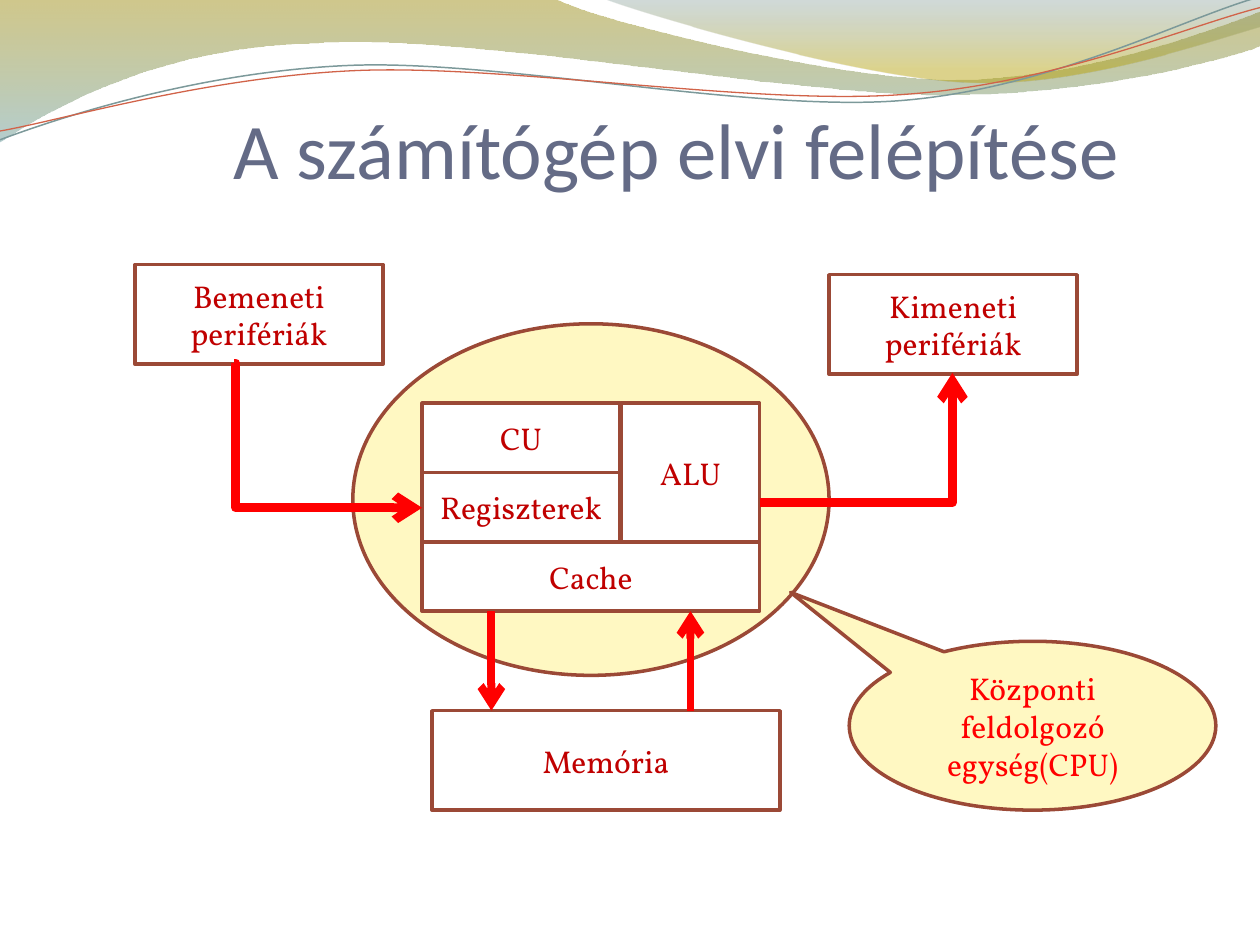
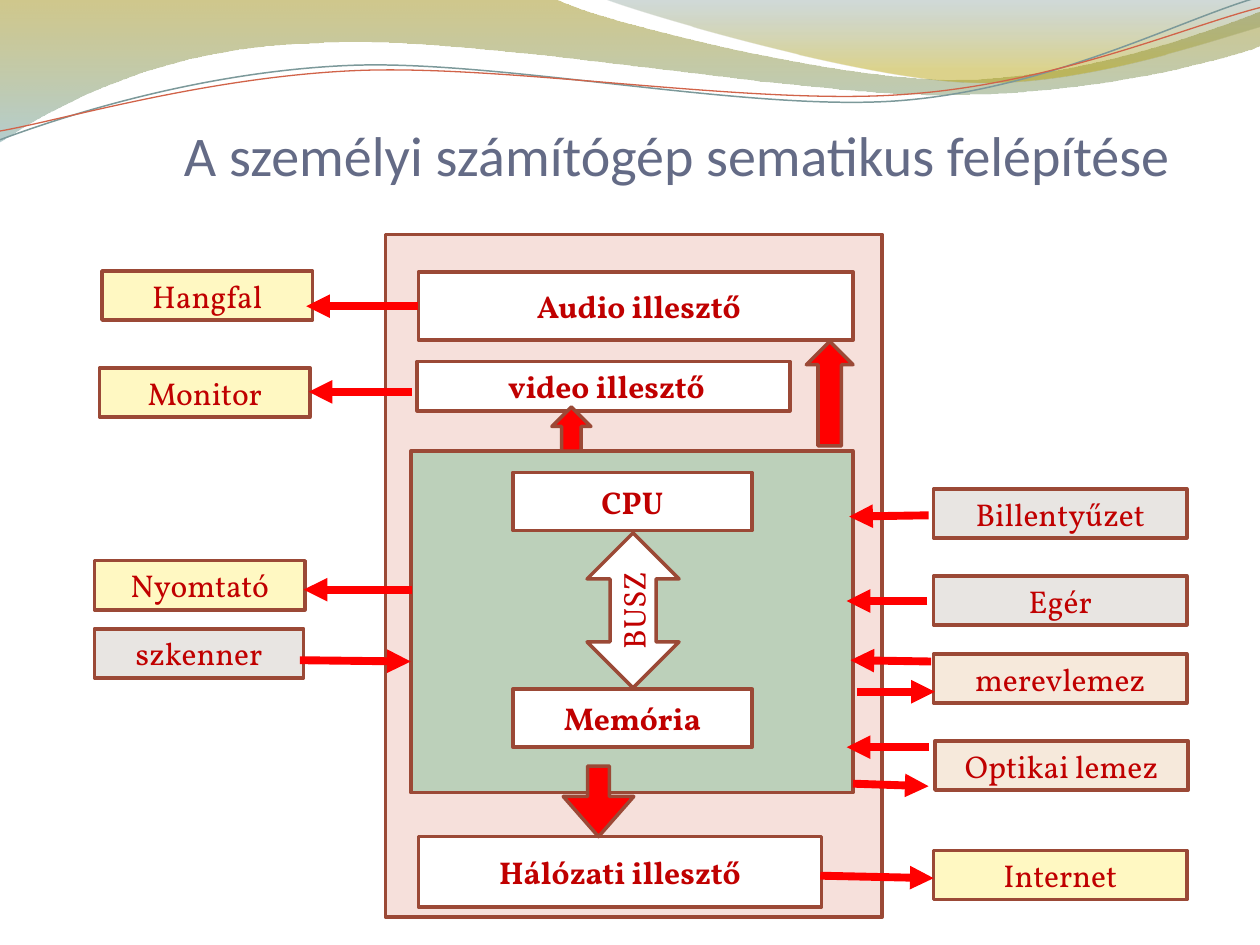
from math import cos, radians, sin

from lxml import etree
from pptx import Presentation
from pptx.dml.color import RGBColor
from pptx.enum.shapes import MSO_CONNECTOR as CONN, MSO_SHAPE as SHAPE
from pptx.enum.text import MSO_ANCHOR, MSO_AUTO_SIZE, PP_ALIGN
from pptx.oxml.ns import qn
from pptx.util import Inches, Pt

SLATE = RGBColor(0x64, 0x6B, 0x86)
BROWN = RGBColor(0x9B, 0x49, 0x36)
DARK_RED = RGBColor(0xC0, 0x00, 0x00)
RED = RGBColor(0xFF, 0x00, 0x00)
WHITE = RGBColor(0xFF, 0xFF, 0xFF)
CREAM = RGBColor(0xFF, 0xF8, 0xC2)
PINK = RGBColor(0xF6, 0xE0, 0xDB)
GREEN = RGBColor(0xBC, 0xD0, 0xBA)
GREY = RGBColor(0xE8, 0xE5, 0xE2)
PEACH = RGBColor(0xF6, 0xE9, 0xDB)
OLIVE = RGBColor(0x97, 0x85, 0x00)
TEAL = RGBColor(0x77, 0xA5, 0xA6)
DEEP_TEAL = RGBColor(0x64, 0x84, 0x84)
GOLD = RGBColor(0xB4, 0x9F, 0x00)
LINE_TEAL = RGBColor(0x7C, 0x99, 0x9A)
LINE_RED = RGBColor(0xD1, 0x63, 0x49)


def add_box(s, kind, x, y, w, h, fill, text="", bold=False, color=DARK_RED):
    sp = s.shapes.add_shape(kind, Inches(x), Inches(y), Inches(w), Inches(h))
    sp.shadow.inherit = False
    sp.fill.solid()
    sp.fill.fore_color.rgb = fill
    sp.line.color.rgb = BROWN
    sp.line.width = Pt(2)
    if text:
        p = sp.text_frame.paragraphs[0]
        p.text = text
        p.alignment = PP_ALIGN.CENTER
        p.font.name, p.font.size, p.font.bold = "Vollkorn", Pt(18), bold
        p.font.color.rgb = color
    return sp


def add_arrow(s, x1, y1, x2, y2, head, width=4.5, kind=CONN.STRAIGHT):
    cx = s.shapes.add_connector(kind, Inches(x1), Inches(y1), Inches(x2), Inches(y2))
    cx.line.color.rgb = RED
    cx.line.width = Pt(width)
    etree.SubElement(cx.line._get_or_add_ln(), qn("a:tailEnd"), type=head)
    etree.SubElement(cx._element.spPr, qn("a:effectLst"))
    return cx


prs = Presentation()
prs.slide_width, prs.slide_height = Inches(10), Inches(7.5)

# Slides and titles
TITLES = [
    ("A számítógép elvi felépítése", 45, (1.54, 0.76, 7.65, 0.79)),
    ("A személyi számítógép sematikus felépítése", 32, (0.66, 0.74, 9.43, 0.75)),
]
for text, size, place in TITLES:
    s = prs.slides.add_slide(prs.slide_layouts[5])
    title = s.shapes.title
    title.left, title.top, title.width, title.height = map(Inches, place)
    tf = title.text_frame
    tf.auto_size = MSO_AUTO_SIZE.NONE
    tf.vertical_anchor = MSO_ANCHOR.BOTTOM
    tf.margin_left = tf.margin_right = tf.margin_bottom = 0
    tf.margin_top = Inches(0.05)
    p = tf.paragraphs[0]
    p.text = text
    p.alignment = PP_ALIGN.CENTER
    p.font.name, p.font.size = "Calibri", Pt(size)
    p.font.color.rgb = SLATE
principle, schematic = prs.slides

# Waves shared through the master: frame, rotation, start, segments, gradient, line
# Two numbers make a line, six a Bezier curve; stops hold position, colour, opacity
WAVES = [
    ((-0.01, -0.01, 10.02, 1.14), 0, (0, 0),
     [(4.4, -0.01), (4.76, 0.17, 6.64, 0.63, 7.58, 0.63),
      (8.53, 0.63, 9.58, 0.26, 10, 0.09), (10.01, 0.36),
      (9.83, 0.44, 8.7, 0.76, 7.46, 0.75), (6.22, 0.75, 3.82, 0.28, 2.57, 0.34),
      (1.29, 0.36, 0.46, 0.83, -0.01, 1.13), (0, 0)],
     [(0, OLIVE, 45), (1, TEAL, 55)], None),
    ((4.79, -0.01, 5.21, 0.7), 0, (4.79, -0.01),
     [(5.09, 0.11, 6.82, 0.62, 7.69, 0.65), (8.56, 0.69, 9.61, 0.32, 10, 0.21),
      (10, 0), (4.79, -0.01)],
     [(0, DEEP_TEAL, 30), (0.8, GOLD, 45)], None),
    ((-0.02, 0.22, 10.02, 0.71), -2.7, (0, 1.11),
     [(0.48, 0.93, 1.58, 0.57, 2.77, 0.52), (3.95, 0.47, 5.93, 0.89, 7.13, 0.8),
      (8.33, 0.71, 9.38, 0.15, 9.98, -0.02)],
     None, (LINE_TEAL, 0.85)),
    ((-0.02, 0.3, 10.03, 0.58), -2.7, (0, 1.04),
     [(0.47, 0.96, 1.64, 0.61, 2.83, 0.56), (4.03, 0.51, 5.97, 0.84, 7.17, 0.75),
      (8.36, 0.67, 9.41, 0.21, 10, 0.06)],
     None, (LINE_RED, 0.75)),
]
for depth, (frame, rotation, start, segments, stops, line) in enumerate(WAVES):
    builder = principle.shapes.build_freeform(*map(Inches, start))
    builder.add_line_segments([tuple(map(Inches, seg[-2:])) for seg in segments],
                              close=stops is not None)
    wave = builder.convert_to_shape()
    wave.left, wave.top, wave.width, wave.height = map(Inches, frame)
    wave.rotation = rotation
    wave.shadow.inherit = False

    # Outline in frame coordinates, with the rotation taken back out
    left, top, w, h = frame
    angle = radians(-rotation)
    outline = next(wave._element.spPr.iter(qn("a:path")))
    outline.set("w", str(Inches(w)))
    outline.set("h", str(Inches(h)))
    moves = [m for m in outline if m.tag != qn("a:close")]
    for move, seg in zip(moves, [start] + segments):
        if len(seg) == 6:
            move.tag = qn("a:cubicBezTo")
        for pt in list(move):
            move.remove(pt)
        for x, y in zip(seg[::2], seg[1::2]):
            dx, dy = x - left - w / 2, y - top - h / 2
            local_x = dx * cos(angle) - dy * sin(angle) + w / 2
            local_y = dx * sin(angle) + dy * cos(angle) + h / 2
            etree.SubElement(move, qn("a:pt"), x=str(Inches(local_x)), y=str(Inches(local_y)))

    if stops:
        wave.line.fill.background()
        wave.fill.gradient()
        wave.fill.gradient_angle = 270
        for stop, (position, color, _) in zip(wave.fill.gradient_stops, stops):
            stop.position, stop.color.rgb = position, color
        for clr, (_, _, opacity) in zip(wave._element.spPr.iter(qn("a:srgbClr")), stops):
            etree.SubElement(clr, qn("a:alpha"), val=str(opacity * 1000))
    else:
        wave.fill.background()
        wave.line.color.rgb, wave.line.width = line[0], Pt(line[1])
    prs.slide_master.shapes._spTree.insert(2 + depth, wave._element)

# Slide 1: processor, peripherals and memory
s = principle
add_box(s, SHAPE.OVAL, 2.8, 2.57, 3.78, 2.79, CREAM)
for text, x, y, w, h in [
    ("ALU", 4.93, 3.2, 1.1, 1.1),
    ("CU", 3.35, 3.2, 1.57, 0.55),
    ("Regiszterek", 3.35, 3.75, 1.57, 0.55),
    ("Cache", 3.35, 4.3, 2.68, 0.55),
    ("Bemeneti perifériák", 1.07, 2.1, 1.97, 0.79),
    ("Kimeneti perifériák", 6.58, 2.18, 1.97, 0.79),
    ("Memória", 3.43, 5.64, 2.76, 0.79),
]:
    add_box(s, SHAPE.RECTANGLE, x, y, w, h, WHITE, text)

input_arrow = add_arrow(s, 1.86, 2.88, 3.35, 4.03, "arrow", 5, CONN.ELBOW)
guides = input_arrow._element.spPr.prstGeom.get_or_add_avLst()
etree.SubElement(guides, qn("a:gd"), name="adj1", fmla="val 700")
add_arrow(s, 3.9, 4.85, 3.9, 5.64, "arrow")
add_arrow(s, 5.48, 5.64, 5.48, 4.85, "arrow")
output_arrow = add_arrow(s, 6.03, 3.99, 7.56, 2.96, "arrow", 5, CONN.ELBOW)
output_arrow._element.spPr.prstGeom.set("prst", "bentConnector2")

callout = add_box(s, SHAPE.OVAL_CALLOUT, 6.74, 5.09, 2.91, 1.34, CREAM,
                  "Központi feldolgozó egység(CPU)", color=RED)
callout.adjustments[0], callout.adjustments[1] = -0.66, -0.79

# Slide 2: case, motherboard and adapters
s = schematic
add_box(s, SHAPE.RECTANGLE, 3.06, 1.86, 3.94, 5.42, PINK)
add_box(s, SHAPE.RECTANGLE, 3.26, 3.58, 3.51, 2.71, GREEN)
for text, x, y, w, h in [
    ("CPU", 4.07, 3.75, 1.9, 0.46),
    ("Memória", 4.07, 5.47, 1.9, 0.46),
    (" video illesztő", 3.31, 2.87, 2.96, 0.39),
    (" Audio illesztő", 3.32, 2.16, 3.45, 0.54),
    ("Hálózati illesztő", 3.32, 6.64, 3.2, 0.56),
]:
    add_box(s, SHAPE.RECTANGLE, x, y, w, h, WHITE, text, bold=True)
bus = add_box(s, SHAPE.UP_DOWN_ARROW, 4.66, 4.23, 0.73, 1.23, WHITE, "BUSZ")
bus.text_frame._txBody.bodyPr.set("vert", "vert270")

# Devices: outputs cream, inputs grey, storage peach
for text, x, y, w, fill in [
    ("Hangfal", 0.81, 2.15, 1.67, CREAM),
    ("Monitor", 0.79, 2.92, 1.67, CREAM),
    ("Nyomtató", 0.75, 4.45, 1.67, CREAM),
    ("szkenner", 0.75, 4.99, 1.66, GREY),
    ("Billentyűzet", 7.41, 3.88, 2.01, GREY),
    ("Egér", 7.41, 4.57, 2.01, GREY),
    ("merevlemez", 7.41, 5.19, 2.01, PEACH),
    ("Optikai lemez", 7.42, 5.88, 2.01, PEACH),
    ("Internet", 7.41, 6.75, 2.01, CREAM),
]:
    add_box(s, SHAPE.RECTANGLE, x, y, w, 0.39, fill, text)

# Device arrows
for ends in [
    (3.32, 2.43, 2.43, 2.43),
    (3.27, 3.11, 2.45, 3.11),
    (3.27, 4.68, 2.41, 4.68),
    (2.38, 5.24, 3.26, 5.25),
    (7.37, 4.09, 6.74, 4.1),
    (7.36, 4.77, 6.72, 4.77),
    (7.39, 5.25, 6.75, 5.24),
    (6.8, 5.49, 7.42, 5.49),
    (7.37, 5.93, 6.72, 5.93),
    (6.77, 6.22, 7.37, 6.24),
    (6.51, 6.95, 7.41, 6.97),
]:
    add_arrow(s, *ends, "triangle")

# Block arrows from the motherboard to the adapters
add_box(s, SHAPE.UP_ARROW, 4.38, 3.23, 0.31, 0.35, RED)
add_box(s, SHAPE.UP_ARROW, 6.4, 2.71, 0.37, 0.83, RED)
network_arrow = add_box(s, SHAPE.UP_ARROW, 4.47, 6.08, 0.56, 0.56, RED)
network_arrow.rotation = 180
network_arrow.adjustments[0], network_arrow.adjustments[1] = 0.31, 0.57

prs.save("out.pptx")
